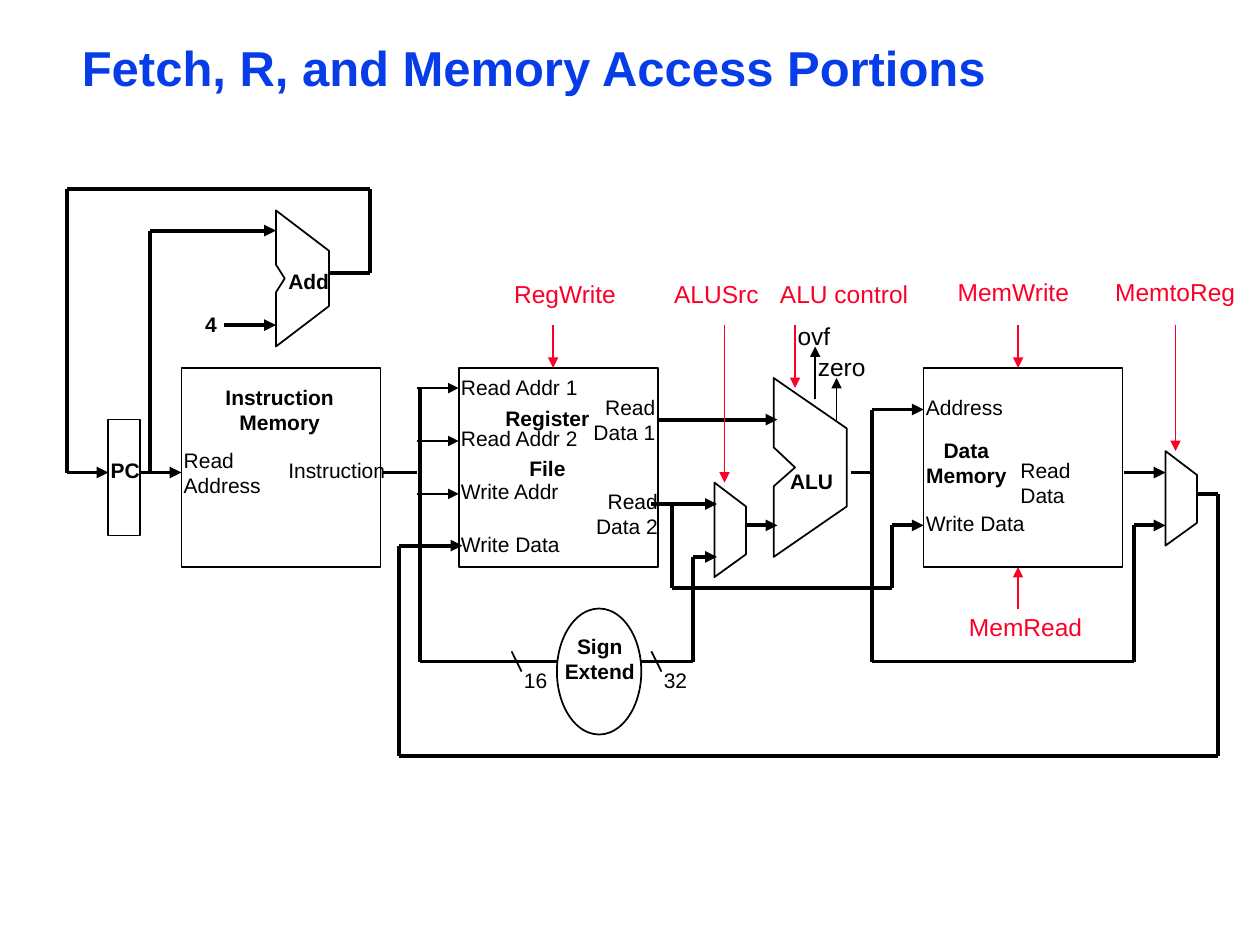
from pptx import Presentation
from pptx.dml.color import RGBColor
from pptx.enum.shapes import MSO_CONNECTOR, MSO_SHAPE
from pptx.enum.text import MSO_ANCHOR, MSO_AUTO_SIZE, PP_ALIGN
from pptx.oxml.ns import qn
from pptx.util import Inches, Pt
from lxml import etree

LEFT, CENTER, RIGHT = PP_ALIGN.LEFT, PP_ALIGN.CENTER, PP_ALIGN.RIGHT
TOP = MSO_ANCHOR.TOP
FIT, FIXED = MSO_AUTO_SIZE.SHAPE_TO_FIT_TEXT, MSO_AUTO_SIZE.NONE
STRAIGHT = MSO_CONNECTOR.STRAIGHT
RECT, OVAL = MSO_SHAPE.RECTANGLE, MSO_SHAPE.OVAL
BLACK, RED, BLUE = "000000", "FC0128", "063DE8"
FONT = "Arial"

TITLE = "Fetch, R, and Memory Access Portions"

UNITS = [
    (RECT, 0.86, 3.33, 0.25, 0.92),
    (RECT, 1.44, 2.92, 1.58, 1.58),
    (RECT, 3.64, 2.92, 1.58, 1.58),
    (RECT, 7.33, 2.92, 1.58, 1.58),
    (OVAL, 4.42, 4.83, 0.67, 1),
]

ADDER = [(2.19, 1.67), (2.19, 2.1), (2.26, 2.21), (2.19, 2.32),
         (2.19, 2.75), (2.61, 2.43), (2.61, 1.99)]
ALU = [(6.14, 3), (6.14, 3.55), (6.31, 3.71), (6.14, 3.86),
       (6.14, 4.42), (6.72, 4.02), (6.72, 3.4)]
MUXES = [(5.67, 3.83), (9.25, 3.58)]

DATA_ARROWS = [
    [(1.11, 3.75), (1.44, 3.75)],
    [(1.19, 3.75), (1.19, 1.83), (2.19, 1.83)],
    [(1.78, 2.58), (2.19, 2.58)],
    [(2.61, 2.17), (2.94, 2.17), (2.94, 1.5), (0.53, 1.5), (0.53, 3.75), (0.86, 3.75)],
    [(5.22, 3.33), (6.17, 3.33)],
    [(5.17, 4), (5.69, 4)],
    [(5.33, 4), (5.33, 4.67), (7.08, 4.67), (7.08, 4.17), (7.33, 4.17)],
    [(5.08, 5.25), (5.5, 5.25), (5.5, 4.42), (5.69, 4.42)],
    [(5.92, 4.17), (6.17, 4.17)],
    [(6.92, 3.25), (7.33, 3.25)],
    [(6.92, 3.25), (6.92, 5.25), (9, 5.25), (9, 4.17), (9.25, 4.17)],
    [(8.92, 3.75), (9.25, 3.75)],
    [(9.5, 3.92), (9.67, 3.92), (9.67, 6), (3.17, 6), (3.17, 4.33), (3.67, 4.33)],
]
DATA_LINES = [
    [(3.03, 3.75), (3.31, 3.75)],
    [(6.75, 3.75), (6.94, 3.75)],
    [(4.42, 5.25), (3.33, 5.25), (3.33, 3.08)],
]
REGISTER_INPUTS = [[(3.31, y), (3.64, y)] for y in (3.08, 3.5, 3.92)]
BUS_SLASHES = [[(x, 5.17), (x + 0.08, 5.33)] for x in (4.06, 5.17)]
FLAGS = [[(6.47, 3.17), (6.47, 2.75)], [(6.64, 3.33), (6.64, 3)]]
CONTROLS = [[(x, 2.58), (x, y)] for x, y in
            ((4.39, 2.92), (5.75, 3.83), (8.08, 2.92), (9.33, 3.58))]
CONTROLS.append([(8.08, 4.83), (8.08, 4.5)])
ALU_CONTROL = [[(6.31, 2.58), (6.31, 3.08)]]

WIRES = [
    (DATA_ARROWS, BLACK, 2.25, True),
    (DATA_LINES, BLACK, 2.25, False),
    (REGISTER_INPUTS, BLACK, 1.5, True),
    (BUS_SLASHES, BLACK, 1, False),
    (FLAGS, BLACK, 1, True),
    (CONTROLS, RED, 1, True),
    (ALU_CONTROL, RED, 1.5, True),
]

PORTS = [
    (["Read", "Address"], 1.36, 3.5, 0.81, LEFT),
    (["Instruction"], 2.19, 3.58, 0.97, LEFT),
    (["Read Addr 1"], 3.56, 2.92, 1.13, LEFT),
    (["Read Addr 2"], 3.56, 3.33, 1.13, LEFT),
    (["Write Addr"], 3.56, 3.75, 0.99, LEFT),
    (["Write Data"], 3.56, 4.17, 0.99, LEFT),
    (["Read", "Data 1"], 4.56, 3.08, 0.74, RIGHT),
    (["Read", "Data 2"], 4.58, 3.83, 0.74, RIGHT),
    (["Address"], 7.25, 3.08, 0.81, LEFT),
    (["Write Data"], 7.25, 4, 0.99, LEFT),
    (["Read Data"], 8, 3.58, 0.99, LEFT),
    (["16"], 4.06, 5.25, 0.39, LEFT),
    (["32"], 5.17, 5.25, 0.39, LEFT),
]
NAMES = [
    (["Instruction", "Memory"], 1.69, 3, 1.06, CENTER),
    (["Add"], 2.19, 2.08, 0.53, LEFT),
    (["PC"], 0.78, 3.58, 0.43, LEFT),
    (["4"], 1.53, 2.42, 0.29, LEFT),
    (["Data", "Memory"], 7.25, 3.42, 0.84, CENTER),
]
SIGNALS = [
    ("RegWrite", 4.06, 2.17, 1.01, RED, 18),
    ("ALUSrc", 5.33, 2.17, 0.75, RED, 18),
    ("ALU control", 6.17, 2.17, 1.01, RED, 18),
    ("MemWrite", 7.58, 2.17, 1.01, RED, None),
    ("MemtoReg", 8.83, 2.17, 1.01, RED, None),
    ("MemRead", 7.67, 4.83, 1.01, RED, None),
    ("ovf", 6.31, 2.5, 0.83, BLACK, 18),
    ("zero", 6.47, 2.75, 0.58, BLACK, 18),
]


def rgb(color):
    return RGBColor.from_string(color)


def add_run(p, text, size, color, bold):
    r = p.add_run()
    r.text = text
    f = r.font
    f.name, f.size, f.bold = FONT, Pt(size), bold
    f.color.rgb = rgb(color)


def outline(sp):
    sp.shadow.inherit = False
    sp.fill.background()
    sp.line.color.rgb = rgb(BLACK)
    sp.line.width = Pt(1)


def add_polygon(points):
    corners = [(Inches(x), Inches(y)) for x, y in points]
    fb = s.shapes.build_freeform(*corners[0], scale=1.0)
    fb.add_line_segments(corners[1:], close=True)
    outline(fb.convert_to_shape())


def add_wire(points, color, width, arrow):
    for start, end in zip(points, points[1:]):
        c = s.shapes.add_connector(STRAIGHT, *map(Inches, start + end))
        c.line.color.rgb = rgb(color)
        c.line.width = Pt(width)
        spPr = c._element.spPr
        if arrow and end == points[-1]:
            etree.SubElement(spPr.find(qn("a:ln")), qn("a:tailEnd"), type="triangle")
        etree.SubElement(spPr, qn("a:effectLst"))


def add_label(lines, x, y, w, align=LEFT, size=12, color=BLACK, bold=False,
              tight=False, spacing=None, gap=0):
    h = 0.36 if tight else 0.1 + 0.2 * len(lines)
    tf = s.shapes.add_textbox(*map(Inches, (x, y, w, h))).text_frame
    tf.word_wrap = False
    tf.auto_size = FIXED if tight else FIT
    tf.vertical_anchor = TOP
    if tight:
        tf.margin_left = tf.margin_right = Inches(0.02)
        tf.margin_top = tf.margin_bottom = Inches(0.03)
    for i, text in enumerate(lines):
        p = tf.add_paragraph() if i else tf.paragraphs[0]
        p.alignment = align
        if spacing:
            p.line_spacing = Pt(spacing)
        if i and gap:
            p.space_before = Pt(gap)
        add_run(p, text, size, color, bold)


prs = Presentation()
prs.slide_width, prs.slide_height = Inches(10), Inches(7.5)
s = prs.slides.add_slide(prs.slide_layouts[5])

title = s.shapes.title
title.left, title.top, title.width, title.height = map(Inches, (0.58, 0.33, 8.92, 0.46))
tf = title.text_frame
tf.auto_size = FIXED
tf.vertical_anchor = TOP
tf.margin_left = tf.margin_right = Inches(0.07)
tf.margin_top = tf.margin_bottom = Inches(0.03)
p = tf.paragraphs[0]
p.alignment = LEFT
p.line_spacing = 0.87
add_run(p, TITLE, 28, BLUE, True)

for kind, *box in UNITS:
    outline(s.shapes.add_shape(kind, *map(Inches, box)))
for points in (ADDER, ALU):
    add_polygon(points)
for x, y in MUXES:
    add_polygon([(x, y), (x + 0.25, y + 0.19), (x + 0.25, y + 0.57), (x, y + 0.75)])

for wires, color, width, arrow in WIRES:
    for points in wires:
        add_wire(points, color, width, arrow)

for port in PORTS:
    add_label(*port)
for name in NAMES:
    add_label(*name, bold=True)
add_label(["Register", "File"], 3.91, 3.17, 0.87, CENTER, bold=True, gap=14)
add_label(["ALU"], 6.25, 3.67, 0.55, bold=True, tight=True, spacing=16)
add_label(["Sign", "Extend"], 4.47, 5, 0.58, CENTER, bold=True, tight=True)
for text, x, y, w, color, spacing in SIGNALS:
    add_label([text], x, y, w, size=14, color=color, tight=True, spacing=spacing)

prs.save("out.pptx")
